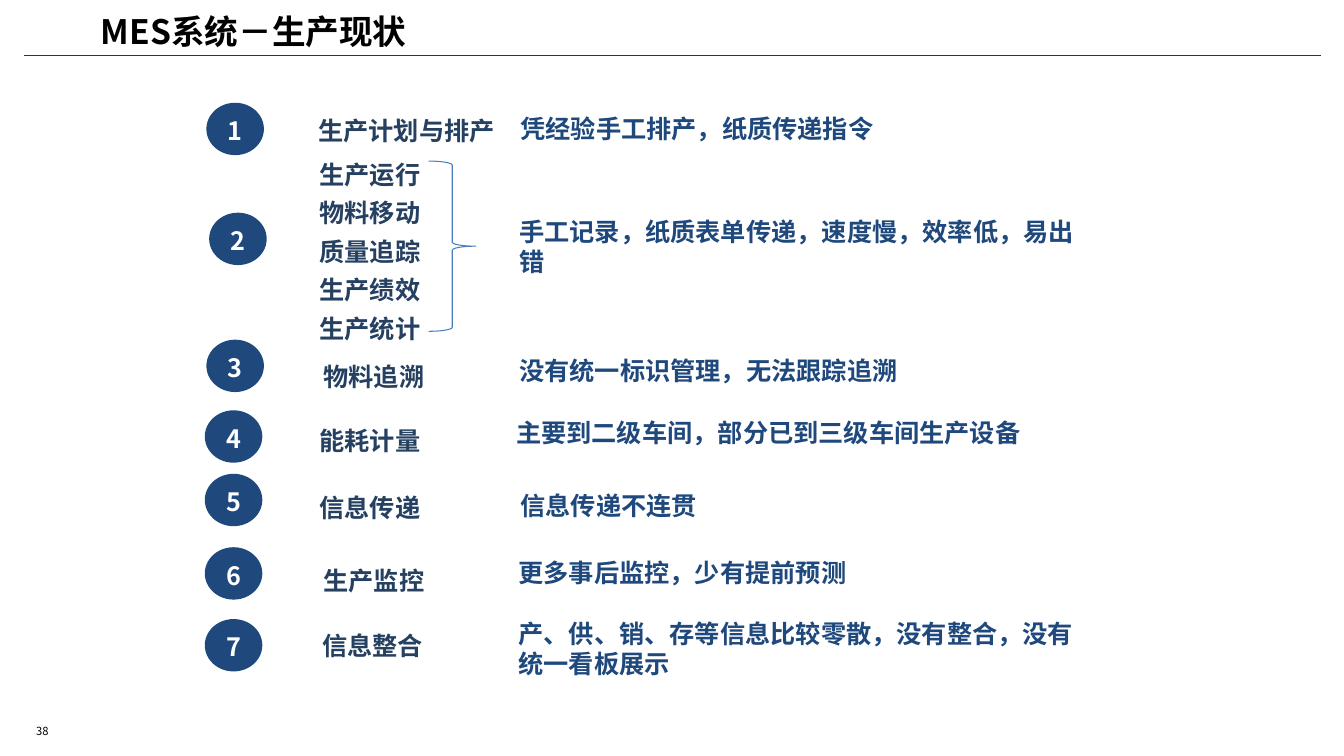
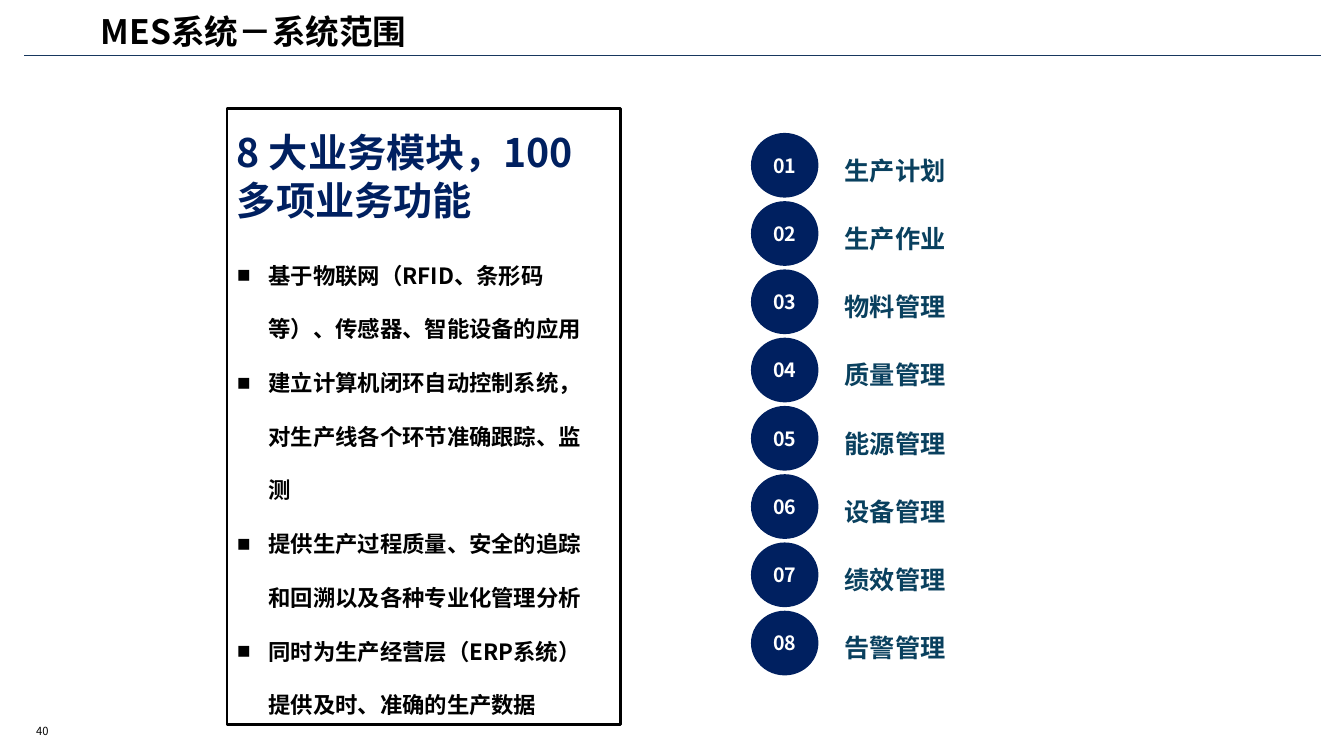
"""Build two slides on the state and the scope of a MES system."""
from lxml.etree import SubElement
from pptx import Presentation
from pptx.dml.color import RGBColor as Rgb
from pptx.enum.shapes import MSO_CONNECTOR as Link, MSO_SHAPE as Form
from pptx.enum.text import MSO_ANCHOR as Anchor, MSO_AUTO_SIZE as Auto, PP_ALIGN as Align
from pptx.oxml.ns import qn
from pptx.util import Cm, Pt

FONT = "Noto Sans CJK SC"
HUES = {
    "black": "000000", "white": "FFFFFF", "rule": "17375E", "label": "254061",
    "note": "1F497D", "brace": "4B7EBC", "navy": "002060", "teal": "09405E",
}


def write(shape, lines, size, hue, bold=True, align=Align.LEFT, anchor=Anchor.TOP,
          space=None, bullet=None, wrap=True):
    frame = shape.text_frame
    frame.text = "\n".join(lines)
    frame.word_wrap = wrap
    frame.auto_size = Auto.NONE
    frame.vertical_anchor = anchor
    for par in frame.paragraphs:
        props = par._p.get_or_add_pPr()
        if bullet:
            props.set("marL", str(Cm(0.79)))
            props.set("indent", str(Cm(-0.79)))
            SubElement(props, qn("a:buChar")).set("char", bullet)
        par.alignment = align
        par.space_before = Pt(0)
        if space:
            par.line_spacing = space
        font = par.font
        font.name, font.size, font.bold = FONT, Pt(size), bold
        font.color.rgb = Rgb.from_string(HUES[hue])
        SubElement(props.find(qn("a:defRPr")), qn("a:ea")).set("typeface", FONT)


def draw(slide, form, spot, fill=None, line=None, width=1):
    shape = slide.shapes.add_shape(form, *map(Cm, spot))
    shape.shadow.inherit = False
    if fill:
        shape.fill.solid()
        shape.fill.fore_color.rgb = Rgb.from_string(HUES[fill])
    else:
        shape.fill.background()
    if line:
        shape.line.color.rgb = Rgb.from_string(HUES[line])
        shape.line.width = Pt(width)
    else:
        shape.line.fill.background()
    return shape


deck = Presentation()
deck.slide_width, deck.slide_height = Cm(33.86), Cm(19.05)

pages = []
for layout, title, number in [(5, "MES系统－生产现状", "38"), (1, "MES系统－系统范围", "40")]:
    page = deck.slides.add_slide(deck.slide_layouts[layout])
    head = page.shapes.title
    head.left, head.top, head.width, head.height = map(Cm, (2.29, 0.15, 18.21, 1.27))
    write(head, [title], 24, "black")
    rule = page.shapes.add_connector(Link.STRAIGHT, Cm(0.61), Cm(1.4), Cm(33.27), Cm(1.4))
    rule.line.color.rgb = Rgb.from_string(HUES["rule"])
    rule.line.width = Pt(1)
    SubElement(rule._element.spPr, qn("a:effectLst"))
    foot = page.shapes.add_textbox(Cm(0.66), Cm(18.11), Cm(2.39), Cm(0.61))
    write(foot, [number], 8, "black", bold=False, anchor=Anchor.MIDDLE)
    pages.append(page)
state, scope = pages

discs = [(5.2, 2.59), (5.27, 5.36), (5.2, 8.56), (5.16, 10.34),
         (5.16, 11.94), (5.16, 13.79), (5.16, 15.6)]
for rank, (left, top) in enumerate(discs, 1):
    disc = draw(state, Form.OVAL, (left, top, 1.45, 1.32), "note")
    write(disc, [str(rank)], 18, "white", align=Align.CENTER)

labels = [
    ("生产计划与排产", 7.77, 2.79), ("物料追溯", 7.9, 8.97), ("能耗计量", 7.8, 10.59),
    ("信息传递", 7.8, 12.27), ("生产监控", 7.9, 14.12), ("信息整合", 7.87, 15.77),
]
steps = ["生产运行", "物料移动", "质量追踪", "生产绩效", "生产统计"]
labels += [(step, 7.8, 3.89 + 0.97 * row) for row, step in enumerate(steps)]
for text, left, top in labels:
    label = state.shapes.add_textbox(Cm(left), Cm(top), Cm(4.98), Cm(1.02))
    write(label, [text], 18, "label")

draw(state, Form.RIGHT_BRACE, (10.8, 4.06, 1.19, 4.29), line="brace", width=0.75)

notes = [
    ("凭经验手工排产，纸质传递指令", 12.78, 2.36, 10.95),
    ("手工记录，纸质表单传递，速度慢，效率低，易出错", 12.75, 5.33, 14.83),
    ("没有统一标识管理，无法跟踪追溯", 12.75, 8.46, 12.8),
    ("主要到二级车间，部分已到三级车间生产设备", 12.67, 10.01, 15.52),
    ("信息传递不连贯", 12.78, 11.86, 7.72),
    ("更多事后监控，少有提前预测", 12.73, 13.56, 11.02),
    ("产、供、销、存等信息比较零散，没有整合，没有统一看板展示", 12.73, 15.47, 15.19),
]
for text, left, top, width in notes:
    note = draw(state, Form.ROUNDED_RECTANGLE, (left, top, width, 1.75))
    write(note, [text], 18, "note", anchor=Anchor.MIDDLE)

panel = draw(scope, Form.RECTANGULAR_CALLOUT, (5.72, 2.74, 9.91, 15.52), line="black", width=2)
panel.adjustments[0], panel.adjustments[1] = 0.5, -0.2
claim = scope.shapes.add_textbox(Cm(5.72), Cm(3.12), Cm(9.5), Cm(2.64))
write(claim, ["8 大业务模块，100多项业务功能"], 28, "navy")

goals = [
    "基于物联网（RFID、条形码等）、传感器、智能设备的应用",
    "建立计算机闭环自动控制系统，对生产线各个环节准确跟踪、监测",
    "提供生产过程质量、安全的追踪和回溯以及各种专业化管理分析",
    "同时为生产经营层（ERP系统）提供及时、准确的生产数据",
]
body = scope.placeholders[1]
body.left, body.top, body.width, body.height = map(Cm, (5.72, 5.79, 9.27, 7.7))
write(body, goals, 16, "black", space=2, bullet="■")

parts = ["生产计划", "生产作业", "物料管理", "质量管理",
         "能源管理", "设备管理", "绩效管理", "告警管理"]
for row, part in enumerate(parts):
    drop = 1.72 * row
    disc = draw(scope, Form.OVAL, (18.92, 3.35 + drop, 1.7, 1.63), "navy")
    write(disc, [f"{row + 1:02}"], 14, "white", align=Align.CENTER, anchor=Anchor.MIDDLE)
    label = scope.shapes.add_textbox(Cm(21.03), Cm(3.4 + drop), Cm(3.07), Cm(1.27))
    write(label, [part], 18, "teal", space=1.5, wrap=False)

deck.save("out.pptx")
